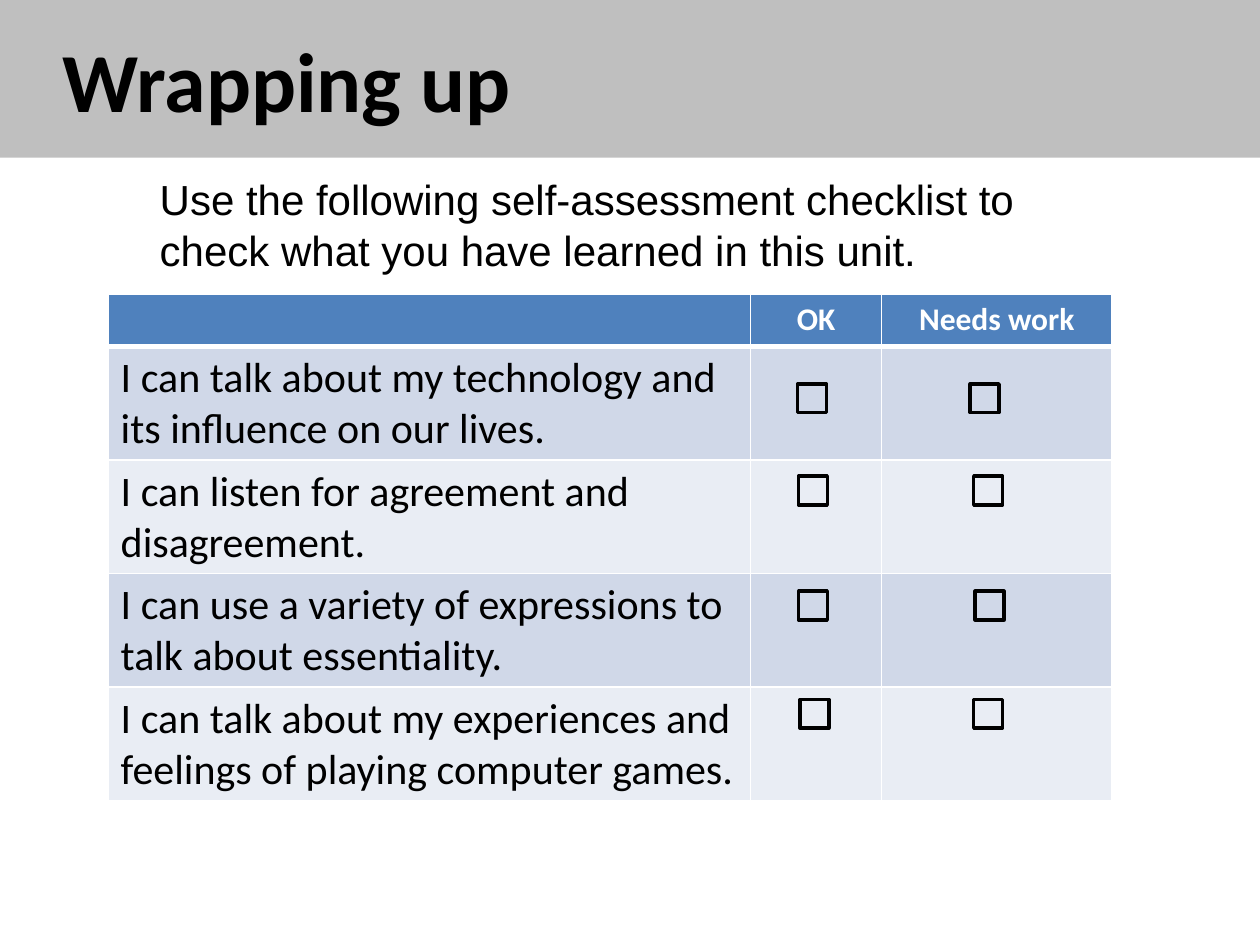
from dataclasses import dataclass
from itertools import accumulate

from lxml.etree import SubElement
from pptx import Presentation
from pptx.dml.color import RGBColor
from pptx.enum.shapes import MSO_SHAPE as Shape
from pptx.enum.text import MSO_ANCHOR as Anchor, MSO_AUTO_SIZE as AutoSize, PP_ALIGN as Align
from pptx.oxml.ns import qn
from pptx.util import Cm, Pt


@dataclass(frozen=True)
class Theme:
    black: str = "000000"
    white: str = "FFFFFF"
    banner: str = "BFBFBF"
    header: str = "4F81BD"
    bands: tuple = ("D0D8E8", "E9EDF4")
    heading_font: str = "Calibri"
    intro_font: str = "Arial"
    title_size: int = 48
    body_size: int = 24
    header_size: int = 18


THEME = Theme()
COLUMN_WIDTHS = (12.95, 2.64, 4.65)
HEADER_HEIGHT, ROW_HEIGHT = 1.04, 2.29
BOX_SIZE = 0.58
HEADINGS = ("", "OK", "Needs work")
# Statement, then tick box offsets: in the OK column, in the Needs work column, below the row top
STATEMENTS = (
    ("I can talk about my technology and its influence on our lives.", 0.95, 1.79, 0.76),
    ("I can listen for agreement and disagreement.", 0.97, 1.86, 0.33),
    ("I can use a variety of expressions to talk about essentiality.", 0.97, 1.89, 0.36),
    ("I can talk about my experiences and feelings of playing computer games.", 1.0, 1.86, 0.25),
)


def add_run(paragraph, text, font, size, color, bold=False):
    run = paragraph.add_run()
    run.text = text
    run.font.name = font
    run.font.size = Pt(size)
    run.font.bold = bold
    run.font.color.rgb = RGBColor.from_string(color)


def add_rectangle(slide, left, top, width, height):
    rectangle = slide.shapes.add_shape(
        Shape.RECTANGLE, Cm(left), Cm(top), Cm(width), Cm(height))
    rectangle.shadow.inherit = False
    return rectangle


def add_banner(slide, left, top, width, height):
    banner = add_rectangle(slide, left, top, width, height)
    banner.fill.solid()
    banner.fill.fore_color.rgb = RGBColor.from_string(THEME.banner)
    banner.line.fill.background()
    banner.text_frame.vertical_anchor = Anchor.MIDDLE
    title = banner.text_frame.paragraphs[0]
    title.alignment = Align.LEFT
    properties = title._p.get_or_add_pPr()
    properties.set("marL", "0")
    properties.set("indent", str(Cm(1.02)))
    add_run(title, "Wrapping up", THEME.heading_font, THEME.title_size, THEME.black, True)


def add_intro(slide, left, top, width, height):
    intro = slide.shapes.add_textbox(Cm(left), Cm(top), Cm(width), Cm(height)).text_frame
    intro.word_wrap = True
    intro.auto_size = AutoSize.SHAPE_TO_FIT_TEXT
    add_run(intro.paragraphs[0],
            "Use the following self-assessment checklist to check what you have learned in this unit.",
            THEME.intro_font, THEME.body_size, THEME.black)


def style_cell(cell, color, bottom_width=1):
    properties = cell._tc.get_or_add_tcPr()
    for side, width in (("L", 1), ("R", 1), ("T", 1), ("B", bottom_width)):
        border = SubElement(properties, qn(f"a:ln{side}"), w=str(Pt(width)))
        fill = SubElement(border, qn("a:solidFill"))
        SubElement(fill, qn("a:srgbClr"), val=THEME.white)
    cell.fill.solid()
    cell.fill.fore_color.rgb = RGBColor.from_string(color)


def add_tick_box(slide, left, top):
    tick_box = add_rectangle(slide, left, top, BOX_SIZE, BOX_SIZE)
    tick_box.fill.background()
    tick_box.line.color.rgb = RGBColor.from_string(THEME.black)
    tick_box.line.width = Pt(2)


def add_checklist(slide, left, top):
    heights = [HEADER_HEIGHT] + [ROW_HEIGHT] * len(STATEMENTS)
    checklist = slide.shapes.add_table(
        len(heights), len(COLUMN_WIDTHS), Cm(left), Cm(top),
        Cm(sum(COLUMN_WIDTHS)), Cm(sum(heights))).table
    for column, width in zip(checklist.columns, COLUMN_WIDTHS):
        column.width = Cm(width)
    for row, height in zip(checklist.rows, heights):
        row.height = Cm(height)

    # Header row
    for index, heading in enumerate(HEADINGS):
        cell = checklist.cell(0, index)
        style_cell(cell, THEME.header, bottom_width=3)
        if heading:
            paragraph = cell.text_frame.paragraphs[0]
            paragraph.alignment = Align.CENTER
            add_run(paragraph, heading, THEME.heading_font, THEME.header_size, THEME.white, True)

    # Statements with their tick boxes
    _, ok_left, needs_left, _ = accumulate(COLUMN_WIDTHS, initial=left)
    for index, (statement, ok_offset, needs_offset, drop) in enumerate(STATEMENTS):
        for column in range(len(COLUMN_WIDTHS)):
            style_cell(checklist.cell(index + 1, column), THEME.bands[index % 2])
        add_run(checklist.cell(index + 1, 0).text_frame.paragraphs[0], statement,
                THEME.heading_font, THEME.body_size, THEME.black)
        box_top = top + HEADER_HEIGHT + index * ROW_HEIGHT + drop
        add_tick_box(slide, ok_left + ok_offset, box_top)
        add_tick_box(slide, needs_left + needs_offset, box_top)


def main():
    deck = Presentation()
    deck.slide_width, deck.slide_height = Cm(25.4), Cm(19.05)
    slide = deck.slides.add_slide(deck.slide_layouts[6])
    add_banner(slide, 0, 0, 25.4, 3.18)
    add_intro(slide, 2.97, 3.38, 19.25, 2.31)
    add_checklist(slide, 2.18, 5.94)
    deck.save("out.pptx")


if __name__ == "__main__":
    main()
